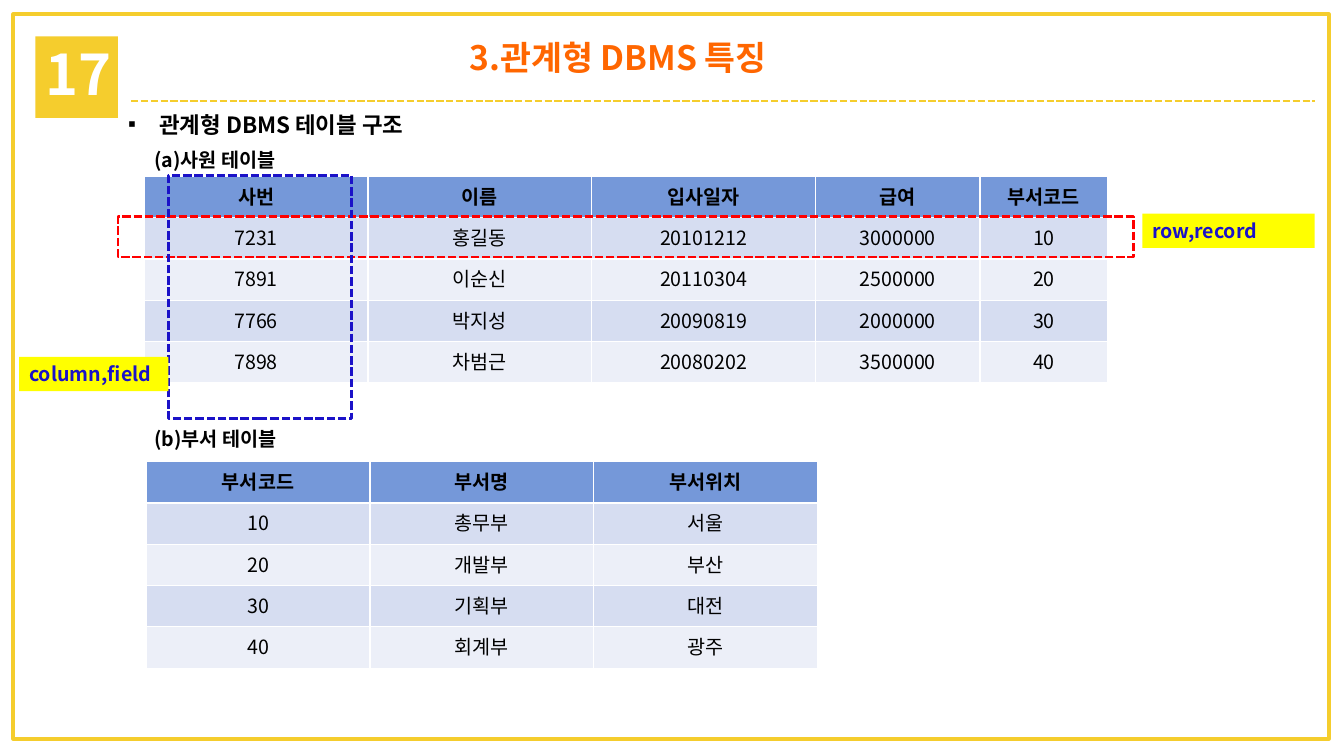
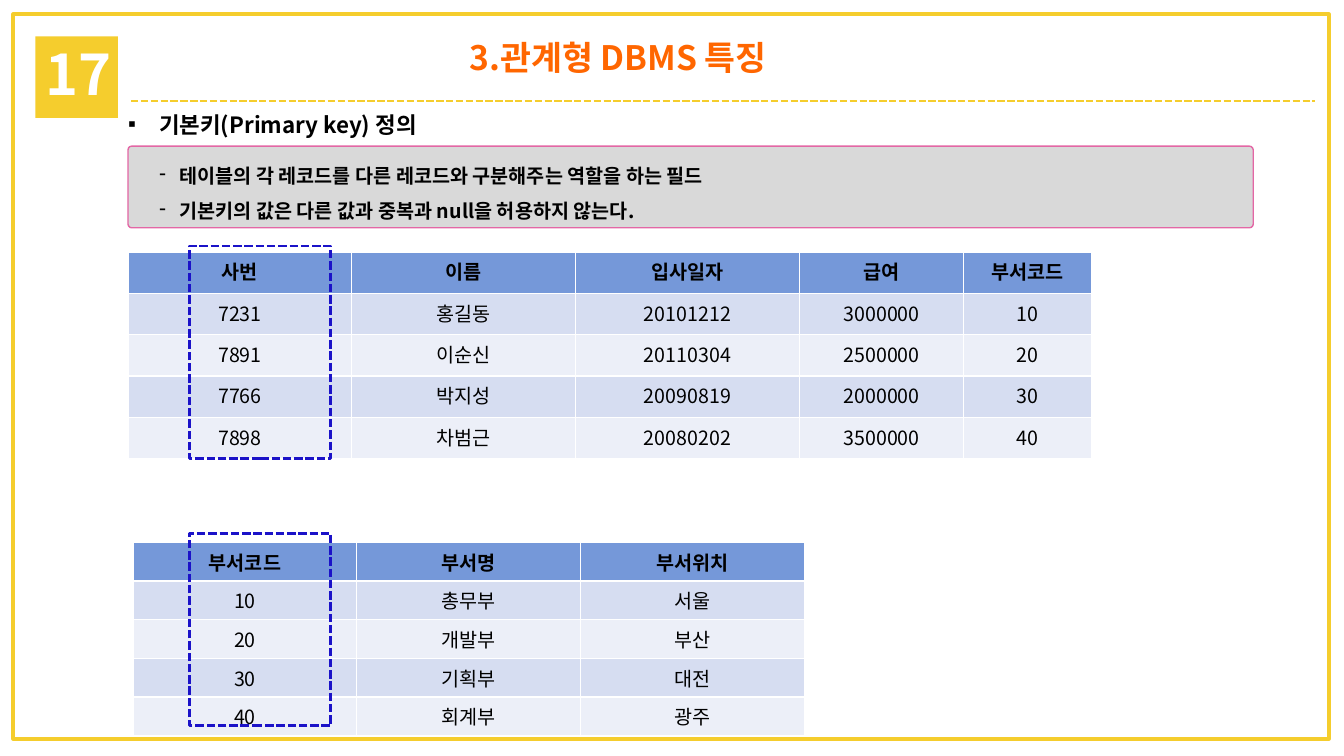
from pptx import Presentation
from pptx import util as u
from pptx.dml.color import RGBColor
from pptx.enum import dml, shapes, text
from lxml import etree

FONT = "Noto Sans CJK KR"
GOLD, ORANGE, BLACK, WHITE = "F5CD2D", "FF6600", "000000", "FFFFFF"
BLUE, RED, YELLOW, PINK, GREY = "1B12C8", "FF0000", "FFFF00", "E367A5", "D9D9D9"
HEADER, BANDS = "7598D9", ("D6DDF1", "ECEFF8")
A = "{http://schemas.openxmlformats.org/drawingml/2006/main}"
rgb = RGBColor.from_string


def write(p, words, size=14, color=BLACK, bold=True, bullet=None):
    """Fill a paragraph; bullet is (character, text indent, hanging indent)."""
    if bullet:
        char, left, hang = bullet
        pPr = p._p.get_or_add_pPr()
        pPr.set("marL", str(u.Inches(left)))
        pPr.set("indent", str(-u.Inches(hang)))
        etree.SubElement(pPr, A + "buChar", char=char)
    r = p.add_run()
    r.text = words
    for name, value in dict(name=FONT, size=u.Pt(size), bold=bold).items():
        setattr(r.font, name, value)
    r.font.color.rgb = rgb(color)
    etree.SubElement(r._r.get_or_add_rPr(), A + "ea", typeface=FONT)


def box(s, at, fill=None, line=None, width=1, dash=False, kind=shapes.MSO_SHAPE.RECTANGLE):
    """Add a shape whose text starts at the top left."""
    sp = s.shapes.add_shape(kind, *map(u.Inches, at))
    sp.shadow.inherit = False
    if fill:
        sp.fill.solid()
        sp.fill.fore_color.rgb = rgb(fill)
    else:
        sp.fill.background()
    if line:
        sp.line.color.rgb = rgb(line)
        sp.line.width = u.Pt(width)
        if dash:
            sp.line.dash_style = dml.MSO_LINE.SQUARE_DOT
    else:
        sp.line.fill.background()
    sp.text_frame.vertical_anchor = text.MSO_ANCHOR.TOP
    sp.text_frame.paragraphs[0].alignment = text.PP_ALIGN.LEFT
    return sp


# Table contents
STAFF = dict(
    cols=(2.22, 2.22, 2.22, 1.63, 1.27),
    rows=(
        ("사번", "이름", "입사일자", "급여", "부서코드"),
        ("7231", "홍길동", "20101212", "3000000", "10"),
        ("7891", "이순신", "20110304", "2500000", "20"),
        ("7766", "박지성", "20090819", "2000000", "30"),
        ("7898", "차범근", "20080202", "3500000", "40"),
    ),
)
DEPT = dict(
    cols=(2.22, 2.22, 2.22),
    rows=(
        ("부서코드", "부서명", "부서위치"),
        ("10", "총무부", "서울"),
        ("20", "개발부", "부산"),
        ("30", "기획부", "대전"),
        ("40", "회계부", "광주"),
    ),
)

# Slide contents: tables as (data, left, top, row height), the rest as (value, place)
SLIDES = (
    dict(
        heading="관계형 DBMS 테이블 구조",
        definition=(),
        tables=((STAFF, 1.43, 1.75, 0.41), (DEPT, 1.45, 4.58, 0.41)),
        captions=(("(a)사원 테이블", 1.42), ("(b)부서 테이블", 4.19)),
        outlines=((RED, (1.17, 2.15, 10.07, 0.4)), (BLUE, (1.67, 1.74, 1.82, 2.41))),
        labels=(("row,record", (11.33, 2.12, 1.71, 0.34)),
                ("column,field", (0.19, 3.54, 1.48, 0.34))),
    ),
    dict(
        heading="기본키(Primary key) 정의",
        definition=("테이블의 각 레코드를 다른 레코드와 구분해주는 역할을 하는 필드",
                    "기본키의 값은 다른 값과 중복과 null을 허용하지 않는다."),
        tables=((STAFF, 1.27, 2.5, 0.41), (DEPT, 1.32, 5.38, 0.35)),
        captions=(),
        outlines=((BLUE, (1.88, 2.44, 1.4, 2.11)), (BLUE, (1.88, 5.29, 1.4, 1.91))),
        labels=(),
    ),
)

prs = Presentation()
prs.slide_width, prs.slide_height = u.Inches(13.33), u.Inches(7.5)

for content in SLIDES:
    s = prs.slides.add_slide(prs.slide_layouts[1])

    # Frame, number badge and dashed rule
    box(s, (0.13, 0.14, 13.05, 7.19), line=GOLD, width=2.5)
    badge = box(s, (0.35, 0.36, 0.82, 0.81), fill=GOLD)
    tf = badge.text_frame
    tf.margin_top, tf.margin_right = u.Inches(0.03), 0
    write(tf.paragraphs[0], "17", 40, WHITE)
    rule = s.shapes.add_connector(shapes.MSO_CONNECTOR.STRAIGHT,
                                  *map(u.Inches, (1.3, 1, 13.04, 1)))
    rule.line.color.rgb = rgb(GOLD)
    rule.line.width = u.Pt(1.75)
    rule.line.dash_style = dml.MSO_LINE.SQUARE_DOT
    etree.SubElement(rule._element.spPr, A + "effectLst")

    # Title and heading
    title, body = s.placeholders
    for sp, at in ((title, (1.43, 0.32, 9.4, 0.5)), (body, (1.17, 1.05, 5.27, 0.37))):
        sp.left, sp.top, sp.width, sp.height = map(u.Inches, at)
        sp.text_frame.auto_size = text.MSO_AUTO_SIZE.NONE
        sp.text_frame.vertical_anchor = text.MSO_ANCHOR.TOP
        sp.text_frame.paragraphs[0].space_before = u.Pt(0)
    write(title.text_frame.paragraphs[0], "3.관계형 DBMS 특징", 24, ORANGE)
    write(body.text_frame.paragraphs[0], content["heading"], 16, bullet=("▪", 0.31, 0.31))

    # Definition panel
    if content["definition"]:
        panel = box(s, (1.27, 1.45, 11.16, 0.81), fill=GREY, line=PINK,
                    kind=shapes.MSO_SHAPE.ROUNDED_RECTANGLE)
        panel.adjustments[0] = 0.045
        tf = panel.text_frame
        tf.margin_left = u.Inches(0.3)
        for i, words in enumerate(content["definition"]):
            p = tf.add_paragraph() if i else tf.paragraphs[0]
            p.alignment = text.PP_ALIGN.LEFT
            p.line_spacing = 1.5
            write(p, words, bullet=("-", 0.2, 0.2))

    # Tables
    for data, left, top, row_height in content["tables"]:
        cols, rows = data["cols"], data["rows"]
        size = (sum(cols), row_height * len(rows))
        tbl = s.shapes.add_table(len(rows), len(cols),
                                 *map(u.Inches, (left, top, *size))).table
        for col, width in zip(tbl.columns, cols):
            col.width = u.Inches(width)
        for i, row in enumerate(rows):
            tbl.rows[i].height = u.Inches(row_height)
            for j, words in enumerate(row):
                cell = tbl.cell(i, j)
                cell.fill.solid()
                cell.fill.fore_color.rgb = rgb(BANDS[(i - 1) % 2] if i else HEADER)
                p = cell.text_frame.paragraphs[0]
                p.alignment = text.PP_ALIGN.CENTER
                write(p, words, bold=i == 0)

    # Table captions
    for words, top in content["captions"]:
        sp = s.shapes.add_textbox(*map(u.Inches, (1.43, top, 4.88, 0.34)))
        sp.text_frame.word_wrap = True
        write(sp.text_frame.paragraphs[0], words)

    # Dashed outlines and their labels
    for color, at in content["outlines"]:
        box(s, at, line=color, width=2, dash=True)
    for words, at in content["labels"]:
        write(box(s, at, fill=YELLOW).text_frame.paragraphs[0], words, color=BLUE)

prs.save("out.pptx")
